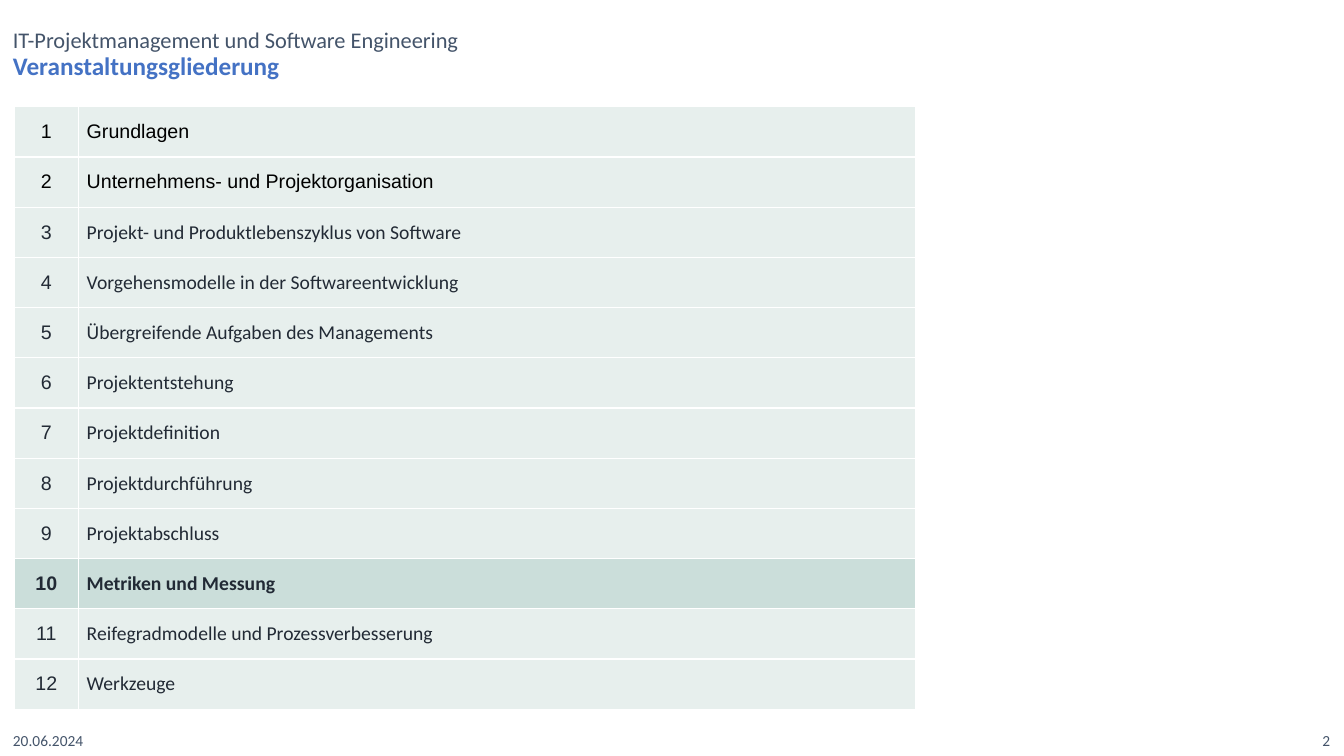
from lxml import etree
from pptx import Presentation, util as u
from pptx.dml.color import RGBColor
from pptx.enum import text as t
from pptx.oxml.ns import qn

SCALE = 9144  # EMU per px, 100 px to the inch

TOPICS = [
    "Grundlagen",
    "Unternehmens- und Projektorganisation",
    "Projekt- und Produktlebenszyklus von Software",
    "Vorgehensmodelle in der Softwareentwicklung",
    "Übergreifende Aufgaben des Managements",
    "Projektentstehung",
    "Projektdeﬁnition",
    "Projektdurchführung",
    "Projektabschluss",
    "Metriken und Messung",
    "Reifegradmodelle und Prozessverbesserung",
    "Werkzeuge",
]
CURRENT = 10
LEFT, RIGHT, CENTER = t.PP_ALIGN.LEFT, t.PP_ALIGN.RIGHT, t.PP_ALIGN.CENTER
TOP, MIDDLE, BOTTOM = t.MSO_ANCHOR.TOP, t.MSO_ANCHOR.MIDDLE, t.MSO_ANCHOR.BOTTOM


def px(n):
    return u.Emu(n * SCALE)


def color(code):
    return RGBColor.from_string(code)


def write(frame, words, size, hue, face="Calibri", bold=False, align=LEFT):
    frame.text = words
    para = frame.paragraphs[0]
    para.alignment = align
    font = para.runs[0].font
    font.name, font.size, font.bold = face, u.Pt(size), bold
    font.color.rgb = color(hue)
    return para


def label(slide, box, words, size, hue, anchor=MIDDLE, space=1.0, **style):
    frame = slide.shapes.add_textbox(*map(px, box)).text_frame
    frame.word_wrap = True
    frame.vertical_anchor = anchor
    write(frame, words, size, hue, **style).line_spacing = space


def border(cell):
    """Draw a thin white line on all four sides."""
    props = cell._tc.get_or_add_tcPr()
    for i, side in enumerate(("a:lnL", "a:lnR", "a:lnT", "a:lnB")):
        line = etree.Element(qn(side), w=str(u.Pt(1)))
        fill = etree.SubElement(line, qn("a:solidFill"))
        etree.SubElement(fill, qn("a:srgbClr"), val="FFFFFF")
        props.insert(i, line)


def fill_cell(cell, words, shade, hue, face, bold, align):
    cell.fill.solid()
    cell.fill.fore_color.rgb = color(shade)
    cell.margin_left = cell.margin_right = px(8)
    cell.margin_top = cell.margin_bottom = 0
    cell.vertical_anchor = MIDDLE
    write(cell.text_frame, words, 14, hue, face, bold, align)
    border(cell)


def outline(slide):
    """Add the numbered table of topics with the current one marked."""
    box = map(px, (14, 106, 894, 598))
    table = slide.shapes.add_table(len(TOPICS), 2, *box).table
    table.first_row = table.horz_banding = False
    for col, width in zip(table.columns, (64, 830)):
        col.width = px(width)
    for num, topic in enumerate(TOPICS, 1):
        early, bold = num <= 2, num == CURRENT
        shade = "CBDEDA" if bold else "E7EFED"
        hue = "000000" if early else "222A35"
        face = "Arial" if early else "Calibri"
        fill_cell(table.cell(num - 1, 0), str(num), shade, hue, "Arial", bold, CENTER)
        fill_cell(table.cell(num - 1, 1), topic, shade, hue, face, bold, LEFT)


def main():
    deck = Presentation()
    deck.slide_width, deck.slide_height = u.Inches(13.33), u.Inches(7.5)
    slide = deck.slides.add_slide(deck.slide_layouts[6])
    label(slide, (3, 19, 1157, 39), "IT-Projektmanagement und Software Engineering",
          16, "44546A", BOTTOM, 0.9)
    label(slide, (3, 48, 1159, 39), "Veranstaltungsgliederung",
          18, "4472C4", TOP, 0.9, bold=True)
    outline(slide)
    label(slide, (3, 719, 222, 31), "20.06.2024", 11, "44546A")
    label(slide, (1107, 719, 222, 31), "2", 11, "44546A", align=RIGHT)
    deck.save("out.pptx")


if __name__ == "__main__":
    main()
